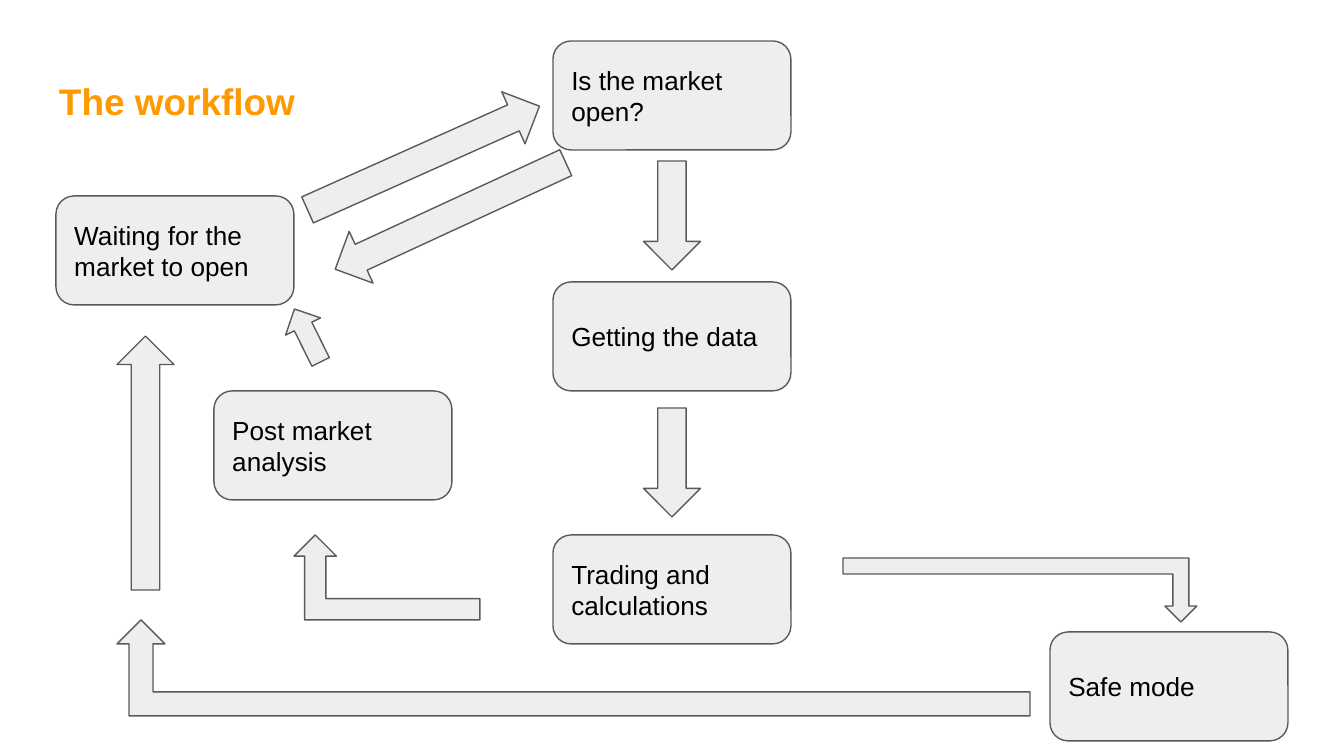
from pptx import Presentation
from pptx.dml.color import RGBColor
from pptx.enum.shapes import MSO_SHAPE as SHAPE
from pptx.enum.text import MSO_ANCHOR as ANCHOR, PP_ALIGN as ALIGN
from pptx.oxml.ns import qn
from pptx.util import Emu, Pt

COLORS = {"title": "FF9900", "fill": "EEEEEE", "line": "595959", "text": "000000"}
FONT = "Arial"
INSET = 13

TITLE = ("The workflow", (46, 66, 1253, 85))

BOX_W, BOX_H = 238, 109
MAIN_X = 553
STEPS = [  # text, left, top
    ("Is the market open?", MAIN_X, 41),
    ("Getting the data", MAIN_X, 282),
    ("Waiting for the market to open", 56, 196),
    ("Trading and calculations", MAIN_X, 535),
    ("Safe mode", 1050, 632),
    ("Post market analysis", 214, 391),
]

ARROW_W, LONG = 57, 254
ARROW_X = MAIN_X + (BOX_W - ARROW_W) / 2
STRAIGHT_ARROWS = [  # left, top, width, length, rotation
    (ARROW_X, 161, ARROW_W, BOX_H, 0),
    (ARROW_X, 408, ARROW_W, BOX_H, 0),
    (117, 336, ARROW_W, LONG, 180),
    (395, 31, ARROW_W, LONG, 245.9),
    (422, 89, ARROW_W, LONG, 65.2),
    (288, 306, 39, 59, 153.7),
]
BENT_ARROWS = [  # left, top, width, height, rotation
    (843, 558, 354, 64, 180),
    (294, 535, 186, 85, 0),
    (117, 620, 913, 96, 0),
]


def px(n):
    return Emu(round(n * 914400 / 134.4))


def rgb(name):
    return RGBColor.from_string(COLORS[name])


def write(sp, text, color, size, bold=False, anchor=ANCHOR.MIDDLE):
    tf = sp.text_frame
    frame = {"word_wrap": True, "vertical_anchor": anchor}
    frame.update({f"margin_{side}": px(INSET) for side in ("left", "top", "right", "bottom")})
    for name, value in frame.items():
        setattr(tf, name, value)
    p = tf.paragraphs[0]
    p.alignment = ALIGN.LEFT
    r = p.add_run()
    r.text = text
    for name, value in {"name": FONT, "size": Pt(size), "bold": bold}.items():
        setattr(r.font, name, value)
    r.font.color.rgb = rgb(color)


def add_outlined(slide, kind, left, top, width, height, rotation=0):
    sp = slide.shapes.add_shape(kind, px(left), px(top), px(width), px(height))
    sp.rotation = rotation
    sp.shadow.inherit = False
    sp.fill.solid()
    sp.fill.fore_color.rgb = rgb("fill")
    sp.line.color.rgb = rgb("line")
    sp.line.width = Pt(0.75)
    return sp


def main():
    prs = Presentation()
    prs.slide_width, prs.slide_height = px(1344), px(756)
    slide = prs.slides.add_slide(prs.slide_layouts[6])

    text, place = TITLE
    title = slide.shapes.add_textbox(*map(px, place))
    write(title, text, "title", 19.8, bold=True, anchor=ANCHOR.TOP)

    for text, left, top in STEPS:
        box = add_outlined(slide, SHAPE.ROUNDED_RECTANGLE, left, top, BOX_W, BOX_H)
        write(box, text, "text", 14)

    for arrow in BENT_ARROWS:
        sp = add_outlined(slide, SHAPE.BENT_UP_ARROW, *arrow)
        sp.element.spPr.find(qn("a:xfrm")).set("flipH", "1")

    for arrow in STRAIGHT_ARROWS:
        add_outlined(slide, SHAPE.DOWN_ARROW, *arrow)

    prs.save("out.pptx")


if __name__ == "__main__":
    main()
